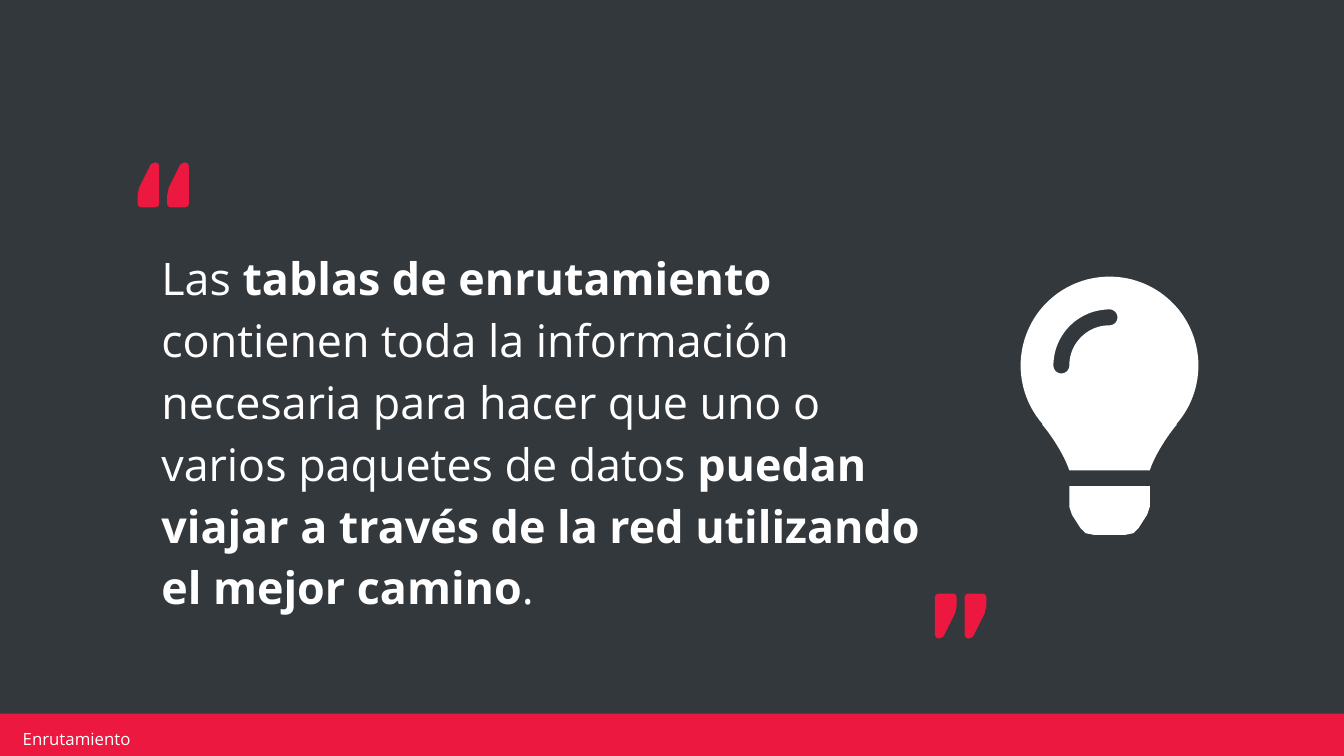
from math import cos, radians, sin

from pptx import Presentation
from pptx.dml.color import RGBColor
from pptx.enum.shapes import MSO_SHAPE as Shape
from pptx.enum.text import MSO_ANCHOR as Anchor, MSO_AUTO_SIZE as AutoSize, PP_ALIGN as Align
from pptx.util import Cm, Pt

DARK = RGBColor(0x33, 0x38, 0x3C)
RED = RGBColor(0xEC, 0x18, 0x3F)
WHITE = RGBColor(0xFF, 0xFF, 0xFF)
FONT = "Open Sans"
WIDTH, HEIGHT = 25.4, 14.29
BAR_TOP = 13.49

QUOTE = [
    ("Las", False),
    (" tablas de enrutamiento ", True),
    ("contienen toda la información necesaria para hacer que uno o varios paquetes de datos ", False),
    ("puedan viajar a través de la red utilizando el mejor camino", True),
    (".", False),
]
MARK = [
    (0.34, 0), (0.28, 0.02), (0.25, 0.04), (0.08, 0.38), (0.03, 0.48), (0, 0.62), (0, 0.79),
    (0.02, 0.83), (0.06, 0.85), (0.34, 0.85), (0.39, 0.83), (0.41, 0.79), (0.41, 0.07), (0.39, 0.02),
]
MARK_STEP = 0.56


def paint(shape, color):
    """Give a shape a plain fill without line or shadow."""
    shape.fill.solid()
    shape.fill.fore_color.rgb = color
    shape.line.fill.background()
    shape.shadow.inherit = False


def add_outline(shapes, contours, color):
    """Draw closed contours, given in centimetres, as one freeform."""
    contours = [[(Cm(x), Cm(y)) for x, y in contour] for contour in contours]
    builder = shapes.build_freeform(*contours[0][0])
    builder.add_line_segments(contours[0][1:], close=True)
    for contour in contours[1:]:
        builder.move_to(*contour[0])
        builder.add_line_segments(contour[1:], close=True)
    shape = builder.convert_to_shape()
    paint(shape, color)
    return shape


def arc(x, y, radius, start, end, steps=40):
    """Return points along a circular arc, with angles in degrees."""
    angles = [radians(start + (end - start) * i / steps) for i in range(steps + 1)]
    return [(x + radius * cos(a), y + radius * sin(a)) for a in angles]


def curve(a, b, c, d, steps=12):
    """Return points along a cubic curve."""
    times = [i / steps for i in range(steps + 1)]
    return [
        tuple((1 - t) ** 3 * p + 3 * (1 - t) ** 2 * t * q + 3 * (1 - t) * t * t * r + t ** 3 * s
              for p, q, r, s in zip(a, b, c, d))
        for t in times
    ]


def mirror(points, axis):
    """Return the points reflected in a vertical axis, in reverse order."""
    return [(2 * axis - x, y) for x, y in reversed(points)]


def add_bulb(page, x, y):
    """Draw a light bulb around the centre of its glass."""
    neck = curve((x + 1.27, y + 1.12), (x + 1.12, y + 1.29), (x + 0.86, y + 1.68), (x + 0.76, y + 1.98))
    glass = arc(x, y, 1.68, 139, 401, 90) + neck + mirror(neck, x)
    ring, half = 0.91, 0.15
    gleam = (
        arc(x, y, ring + half, 180, 270)
        + arc(x, y - ring, half, -90, 90)
        + arc(x, y, ring - half, 270, 180)
        + arc(x - ring, y, half, 0, 180)
    )
    side = [(0.76, 2.28), (0.76, 2.67), (0.71, 2.82), (0.55, 3.07), (0.45, 3.17), (0.3, 3.2)]
    side = [(x + dx, y + dy) for dx, dy in side]
    add_outline(page.shapes, [glass, gleam, side + mirror(side, x)], WHITE)


def add_quote_mark(page, left, top, rotation=0):
    """Draw a pair of quotation strokes as a group."""
    group = page.shapes.add_group_shape()
    for start in (left, left + MARK_STEP):
        stroke = add_outline(group.shapes, [[(start + x, top + y) for x, y in MARK]], RED)
        stroke.rotation = rotation


def write(box, spans, size, margins):
    """Fill a text shape with one left-aligned paragraph of spans."""
    frame = box.text_frame
    frame.word_wrap = True
    frame.auto_size = AutoSize.NONE
    frame.vertical_anchor = Anchor.MIDDLE
    frame.margin_left = frame.margin_right = Cm(margins[0])
    frame.margin_top = frame.margin_bottom = Cm(margins[1])
    para = frame.paragraphs[0]
    para.alignment = Align.LEFT
    para.font.name = FONT
    para.font.size = Pt(size)
    para.font.color.rgb = WHITE
    for text, bold in spans:
        span = para.add_run()
        span.text = text
        span.font.bold = bold
    return para


def add_footer(page, text):
    """Draw the coloured bar with its label."""
    bar = page.shapes.add_shape(Shape.RECTANGLE, 0, Cm(BAR_TOP), Cm(WIDTH), Cm(HEIGHT - BAR_TOP))
    paint(bar, RED)
    label = page.shapes.add_textbox(Cm(0.3), Cm(13.77), Cm(6.07), Cm(0.38))
    write(label, [(text, False)], 9, (0.13, 0.05))


def add_quote(page):
    """Place the quotation in the title placeholder."""
    box = page.shapes.title
    box.left, box.top, box.width, box.height = Cm(2.8), Cm(5.28), Cm(15.37), Cm(5.64)
    para = write(box, QUOTE, 24, (0.25, 0.13))
    para.line_spacing = 1.15
    para.space_before = Pt(6)


def main():
    """Build and save the slide."""
    deck = Presentation()
    deck.slide_width, deck.slide_height = Cm(WIDTH), Cm(HEIGHT)
    page = deck.slides.add_slide(deck.slide_layouts[5])
    page.background.fill.solid()
    page.background.fill.fore_color.rgb = DARK
    add_footer(page, "Enrutamiento")
    add_quote(page)
    add_bulb(page, 20.97, 6.91)
    add_quote_mark(page, 2.6, 3.07)
    add_quote_mark(page, 17.67, 11.22, 180)
    deck.save("out.pptx")


if __name__ == "__main__":
    main()
